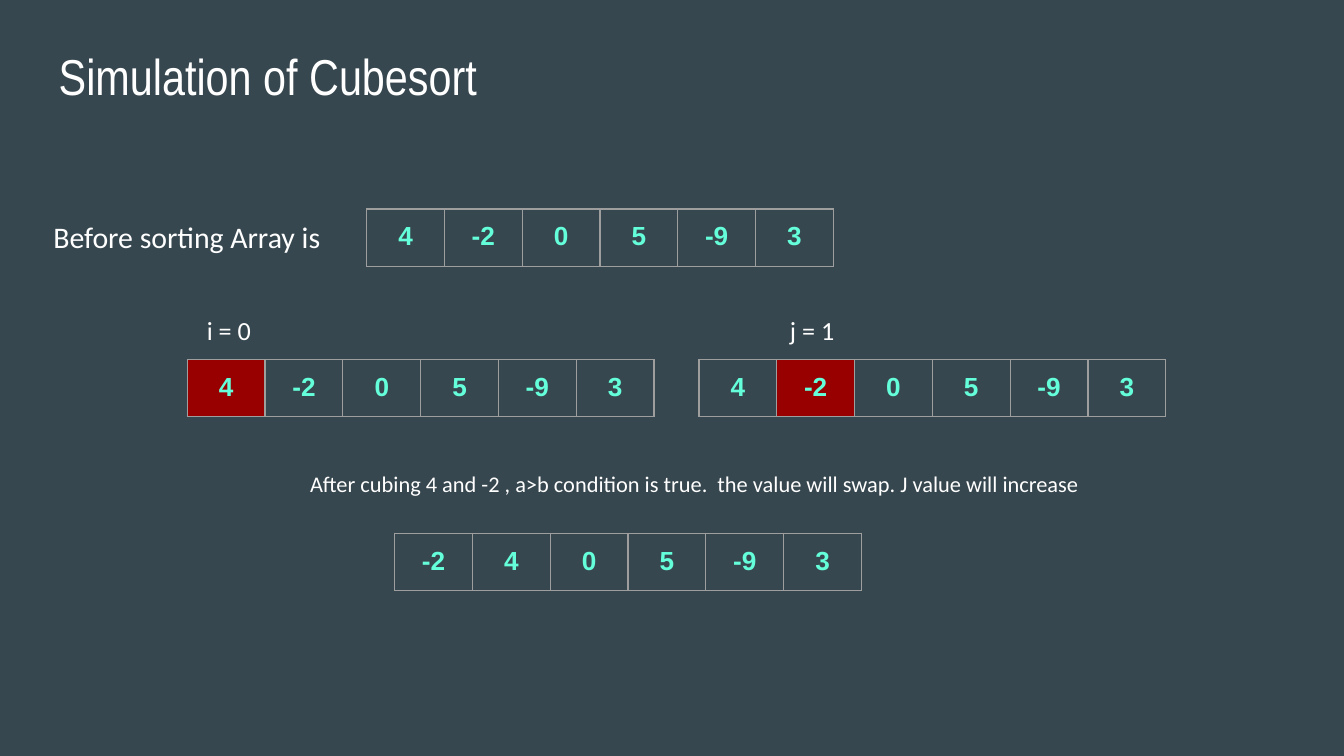
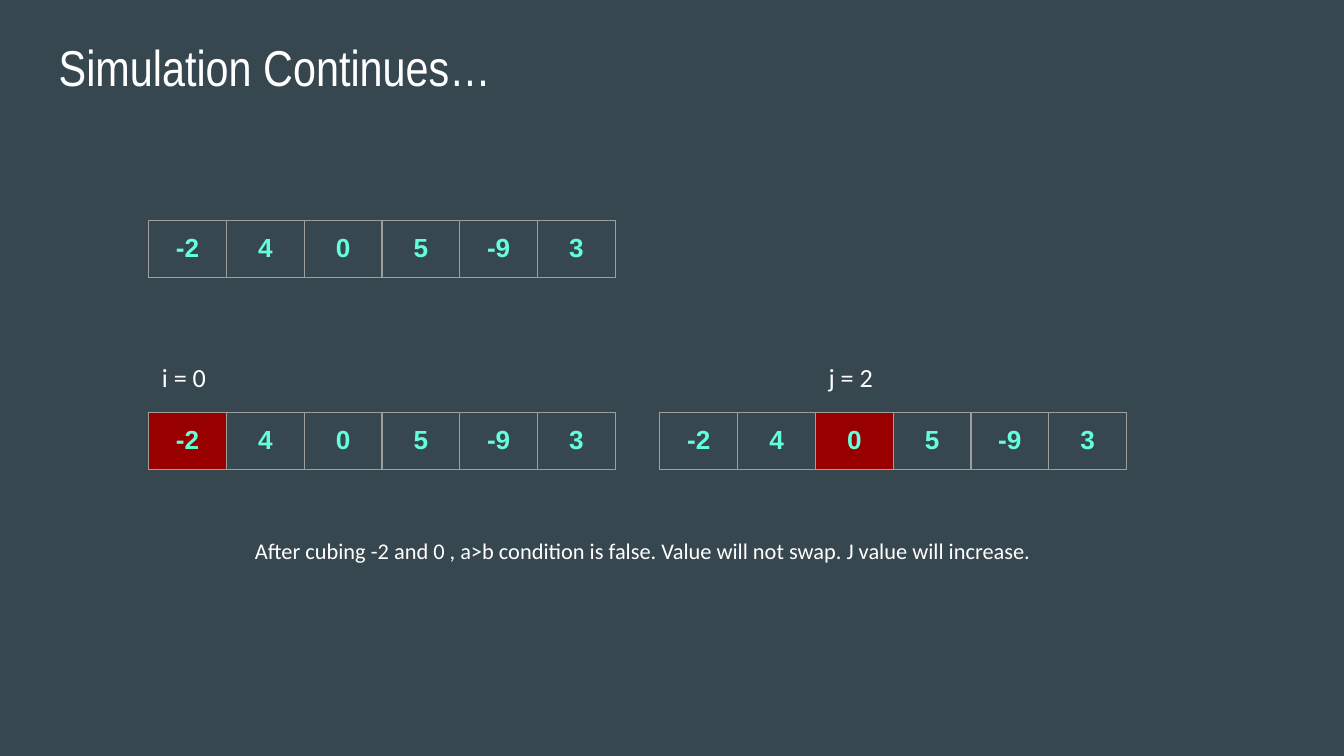
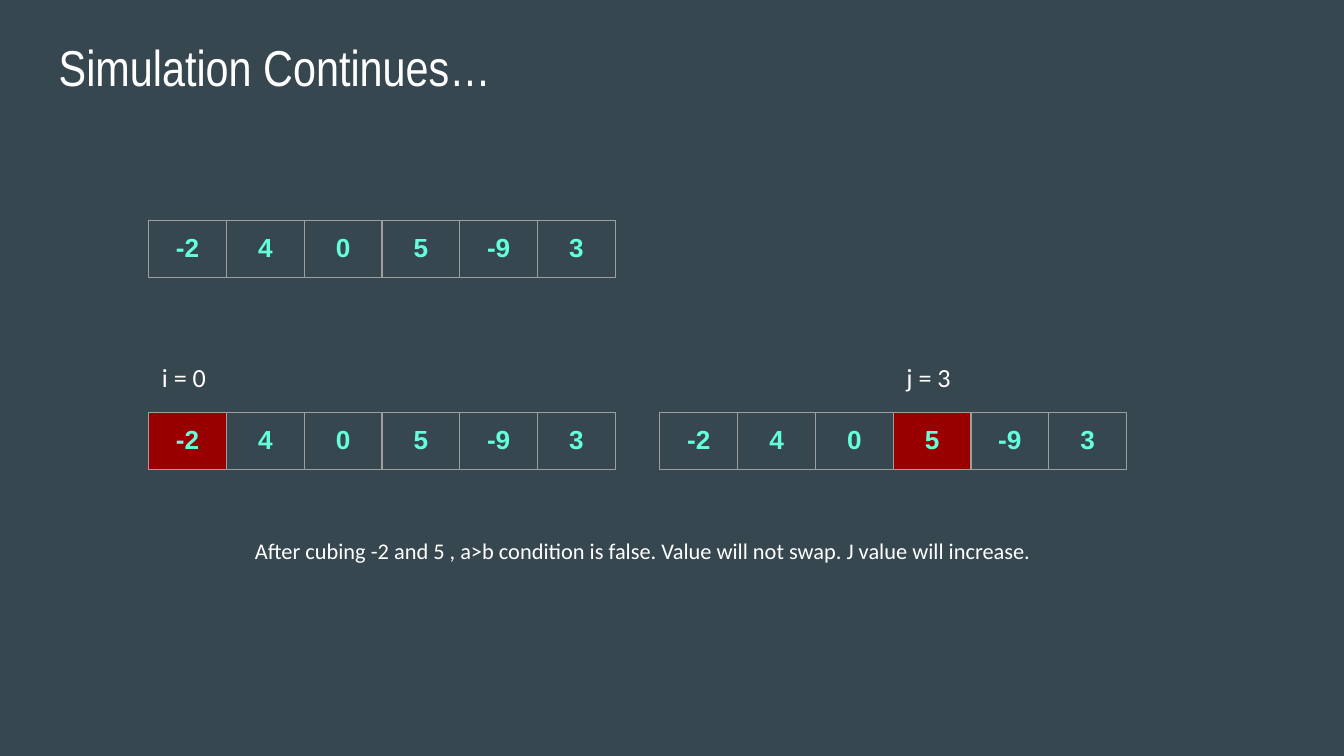
from lxml.etree import SubElement
from pptx import Presentation
from pptx.dml.color import RGBColor
from pptx.enum.text import MSO_ANCHOR, MSO_AUTO_SIZE, PP_ALIGN
from pptx.oxml.ns import qn
from pptx.util import Cm, Pt

BACKGROUND = RGBColor(0x37, 0x47, 0x4F)
WHITE = RGBColor(0xFF, 0xFF, 0xFF)
MINT = RGBColor(0x64, 0xFF, 0xDA)
RED = RGBColor(0x98, 0x00, 0x00)
BORDER = RGBColor(0x9E, 0x9E, 0x9E)

TITLE_FORMAT = {"name": "Arial Narrow", "size": Pt(27), "color": WHITE}
INTRO_FORMAT = {"name": "Calibri", "size": Pt(16), "color": WHITE}
LABEL_FORMAT = {"name": "Calibri", "size": Pt(14), "color": WHITE}
NOTE_FORMAT = {"name": "Calibri", "size": Pt(12), "color": WHITE}
CELL_FORMAT = {"name": "Arial", "size": Pt(14), "bold": True, "color": MINT}

CELL_WIDTH, CELL_HEIGHT = 1.47, 1.08
LABEL_HEIGHT = 1.12
MARGIN = 0.25

UNSORTED = [4, -2, 0, 5, -9, 3]
SWAPPED = [-2, 4, 0, 5, -9, 3]


def later_step(j):
    return {
        "title": "Simulation Continues…",
        "title_top": 0.43,
        "texts": [
            (f"After cubing -2 and {SWAPPED[j]} , a>b condition is false. "
             "Value will not swap. J value will increase.",
             (4.57, 9.91, 16.59, 1.02), NOTE_FORMAT),
        ],
        "arrays": [(SWAPPED, 2.81, 4.17)],
        "compared": SWAPPED,
        "compared_top": 7.8,
        "label_top": 6.58,
        "cursors": [("i", 0, 2.81, 0), ("j", j, 12.47, 0)],
    }


STEPS = [
    {
        "title": "Simulation of Cubesort",
        "title_top": 0.61,
        "texts": [
            ("Before sorting Array is", (0.76, 3.89, 6, 1.2), INTRO_FORMAT),
            ("After cubing 4 and -2 , a>b condition is true.  "
             "the value will swap. J value will increase",
             (5.61, 8.64, 17.37, 1.02), NOTE_FORMAT),
        ],
        "arrays": [(UNSORTED, 6.93, 3.95), (SWAPPED, 7.46, 10.08)],
        "compared": UNSORTED,
        "compared_top": 6.8,
        "label_top": 5.69,
        "cursors": [("i", 0, 3.54, 0.12), ("j", 1, 13.21, 0)],
    },
    later_step(2),
    later_step(3),
]


def write(text_frame, text, text_format, alignment=PP_ALIGN.LEFT):
    for side in ("left", "top", "right", "bottom"):
        setattr(text_frame, f"margin_{side}", Cm(MARGIN))
    text_frame.word_wrap = True
    text_frame.auto_size = MSO_AUTO_SIZE.NONE
    text_frame.vertical_anchor = MSO_ANCHOR.TOP
    paragraph = text_frame.paragraphs[0]
    paragraph.alignment = alignment
    run = paragraph.add_run()
    run.text = text
    apply_format(run.font, text_format)


def apply_format(font, text_format):
    for name, value in text_format.items():
        if name == "color":
            font.color.rgb = value
        else:
            setattr(font, name, value)


def add_title(slide, text, top):
    title = slide.shapes.title
    box = {"left": 0.86, "top": top, "width": 23.67, "height": 1.6}
    for name, value in box.items():
        setattr(title, name, Cm(value))
    write(title.text_frame, text, TITLE_FORMAT)


def add_text(slide, text, box, text_format):
    shape = slide.shapes.add_textbox(*map(Cm, box))
    write(shape.text_frame, text, text_format)


def add_borders(cell):
    properties = cell._tc.get_or_add_tcPr()
    for side in ("lnL", "lnR", "lnT", "lnB"):
        line = SubElement(properties, qn(f"a:{side}"), w=str(Pt(0.75)))
        fill = SubElement(line, qn("a:solidFill"))
        SubElement(fill, qn("a:srgbClr"), val=str(BORDER))


def add_array(slide, values, left, top, marked=None):
    frame = slide.shapes.add_table(
        1, len(values), Cm(left), Cm(top),
        Cm(CELL_WIDTH * len(values)), Cm(CELL_HEIGHT))
    table = frame.table
    table.first_row = table.horz_banding = False
    for index, value in enumerate(values):
        table.columns[index].width = Cm(CELL_WIDTH)
        cell = table.cell(0, index)
        for side in ("left", "top", "right", "bottom"):
            setattr(cell, f"margin_{side}", Cm(MARGIN))
        add_borders(cell)
        if index == marked:
            cell.fill.solid()
            cell.fill.fore_color.rgb = RED
        else:
            cell.fill.background()
        paragraph = cell.text_frame.paragraphs[0]
        paragraph.alignment = PP_ALIGN.CENTER
        run = paragraph.add_run()
        run.text = str(value)
        apply_format(run.font, CELL_FORMAT)


def add_step(presentation, step):
    slide = presentation.slides.add_slide(presentation.slide_layouts[5])
    add_title(slide, step["title"], step["title_top"])
    for text, box, text_format in step["texts"]:
        add_text(slide, text, box, text_format)
    for values, left, top in step["arrays"]:
        add_array(slide, values, left, top)
    for name, index, left, label_shift in step["cursors"]:
        add_array(slide, step["compared"], left, step["compared_top"], index)
        label_left = left + index * CELL_WIDTH + label_shift
        label_box = (label_left, step["label_top"], CELL_WIDTH, LABEL_HEIGHT)
        add_text(slide, f"{name} = {index}", label_box, LABEL_FORMAT)


def main():
    presentation = Presentation()
    presentation.slide_width = Cm(25.4)
    presentation.slide_height = Cm(14.29)
    background = presentation.slide_master.background.fill
    background.solid()
    background.fore_color.rgb = BACKGROUND
    for step in STEPS:
        add_step(presentation, step)
    presentation.save("out.pptx")


if __name__ == "__main__":
    main()
